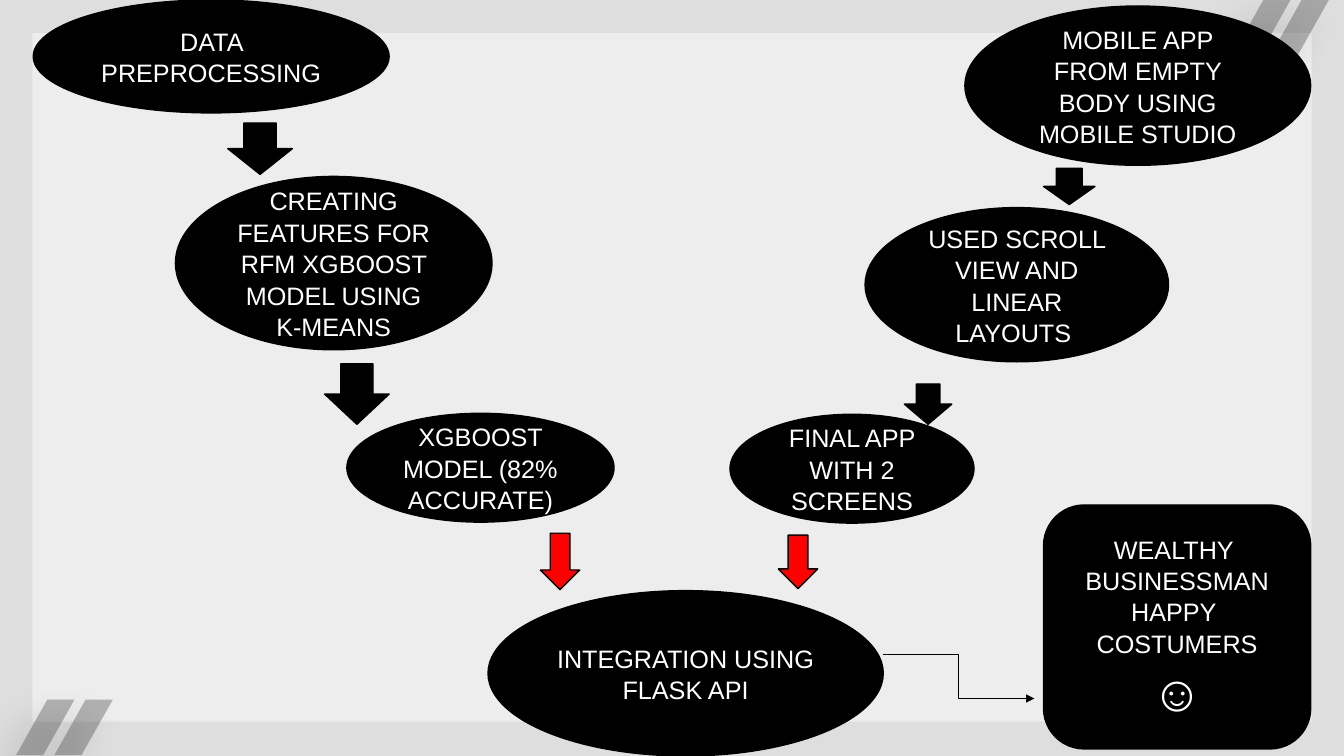
from lxml import etree
from pptx import Presentation
from pptx.dml.color import RGBColor
from pptx.enum import shapes, text
from pptx.oxml import ns
from pptx.util import Inches, Pt

COLORS = {
    "background": "DEDEDE",
    "panel": "EDEDED",
    "stripe": "262626",
    "black": "000000",
    "red": "FF0000",
    "white": "FFFFFF",
}
KIND = shapes.MSO_SHAPE


def color(name):
    return RGBColor.from_string(COLORS[name])


def add_block(kind, box, fill, lines=()):
    """Add a filled, outlined shape with one centred paragraph per (text, size)."""
    shape = slide.shapes.add_shape(kind, *[Inches(length) for length in box])
    shape.shadow.inherit = False
    shape.fill.solid()
    shape.fill.fore_color.rgb = color(fill)
    shape.line.color.rgb = color("black")
    shape.line.width = Pt(1)
    frame = shape.text_frame
    frame.word_wrap = True
    frame.vertical_anchor = text.MSO_ANCHOR.MIDDLE
    for index, (words, size) in enumerate(lines):
        paragraph = frame.add_paragraph() if index else frame.paragraphs[0]
        paragraph.alignment = text.PP_ALIGN.CENTER
        paragraph.line_spacing = 1.04
        run = paragraph.add_run()
        run.text = words
        run.font.name = "Arial"
        run.font.size = Pt(size)
        run.font.color.rgb = color("white")
    return shape


presentation = Presentation()
presentation.slide_width = Inches(13.33)
presentation.slide_height = Inches(7.5)
slide = presentation.slides.add_slide(presentation.slide_layouts[6])
slide.background.fill.solid()
slide.background.fill.fore_color.rgb = color("background")

# Panel and corner stripes
panel = add_block(KIND.RECTANGLE, (0.32, 0.33, 12.69, 6.83), "panel")
panel.line.fill.background()

for left, top in [(12.22, 0), (0.16, 6.94)]:
    builder = slide.shapes.build_freeform(
        Inches(left + 0.69), Inches(top), scale=1.0)
    for offset in (0.69, 0.31):
        corners = [(offset, 0), (offset + 0.27, 0),
                   (offset - 0.04, 0.55), (offset - 0.31, 0.55)]
        points = [(Inches(left + x), Inches(top + y)) for x, y in corners]
        builder.move_to(*points[0])
        builder.add_line_segments(points[1:], close=True)
    stripes = builder.convert_to_shape()
    stripes.fill.solid()
    stripes.fill.fore_color.rgb = color("stripe")
    stripes.line.fill.background()
    stripes.shadow.inherit = False
    properties = stripes.element.spPr
    fill_color = properties.find(".//" + ns.qn("a:srgbClr"))
    etree.SubElement(fill_color, ns.qn("a:alpha"), val="30000")
    shadow = etree.SubElement(
        properties.find(ns.qn("a:effectLst")), ns.qn("a:outerShdw"),
        blurRad=str(Pt(26)), dist=str(Pt(19)), dir=str(135 * 60000),
        algn="tr", rotWithShape="0")
    shadow_color = etree.SubElement(
        shadow, ns.qn("a:srgbClr"), val=COLORS["black"])
    etree.SubElement(shadow_color, ns.qn("a:alpha"), val="40000")

# Steps of the two branches and their meeting point
steps = [
    ("DATA PREPROCESSING", (0.33, 0, 3.53, 1.12)),
    ("CREATING FEATURES FOR RFM XGBOOST MODEL USING K-MEANS",
     (1.74, 1.75, 3.14, 1.72)),
    ("XGBOOST MODEL (82% ACCURATE)", (3.44, 4.1, 2.65, 1.08)),
    ("MOBILE APP FROM EMPTY BODY USING MOBILE STUDIO",
     (9.57, 0.06, 3.43, 1.58)),
    ("USED SCROLL VIEW AND LINEAR LAYOUTS ", (8.58, 2.06, 3.01, 1.53)),
    ("FINAL APP WITH 2 SCREENS", (7.24, 4.11, 2.42, 1.08)),
    ("INTEGRATION USING FLASK API", (4.84, 5.86, 3.92, 1.64)),
]
for words, box in steps:
    add_block(KIND.OVAL, box, "black", [(words, 18)])

arrows = [
    ("black", (2.26, 1.22, 0.64, 0.51)),
    ("black", (3.22, 3.61, 0.64, 0.6)),
    ("black", (10.35, 1.67, 0.51, 0.36)),
    ("black", (8.97, 3.81, 0.47, 0.4)),
    ("red", (7.72, 5.31, 0.39, 0.53)),
    ("red", (5.36, 5.29, 0.39, 0.56)),
]
for fill, box in arrows:
    add_block(KIND.DOWN_ARROW, box, fill)

# Outcome
connector = slide.shapes.add_connector(
    shapes.MSO_CONNECTOR.ELBOW,
    Inches(8.76), Inches(6.49), Inches(10.26), Inches(6.93))
connector.line.color.rgb = color("black")
connector.line.width = Pt(0.5)
etree.SubElement(connector.line._get_or_add_ln(), ns.qn("a:tailEnd"),
                 type="triangle")
etree.SubElement(connector.element.spPr, ns.qn("a:effectLst"))

add_block(KIND.ROUNDED_RECTANGLE, (10.35, 5.01, 2.65, 2.42), "black", [
    ("WEALTHY ", 18),
    ("BUSINESSMAN", 18),
    ("HAPPY ", 18),
    ("COSTUMERS", 18),
    ("☺", 36),
])

presentation.save("out.pptx")
